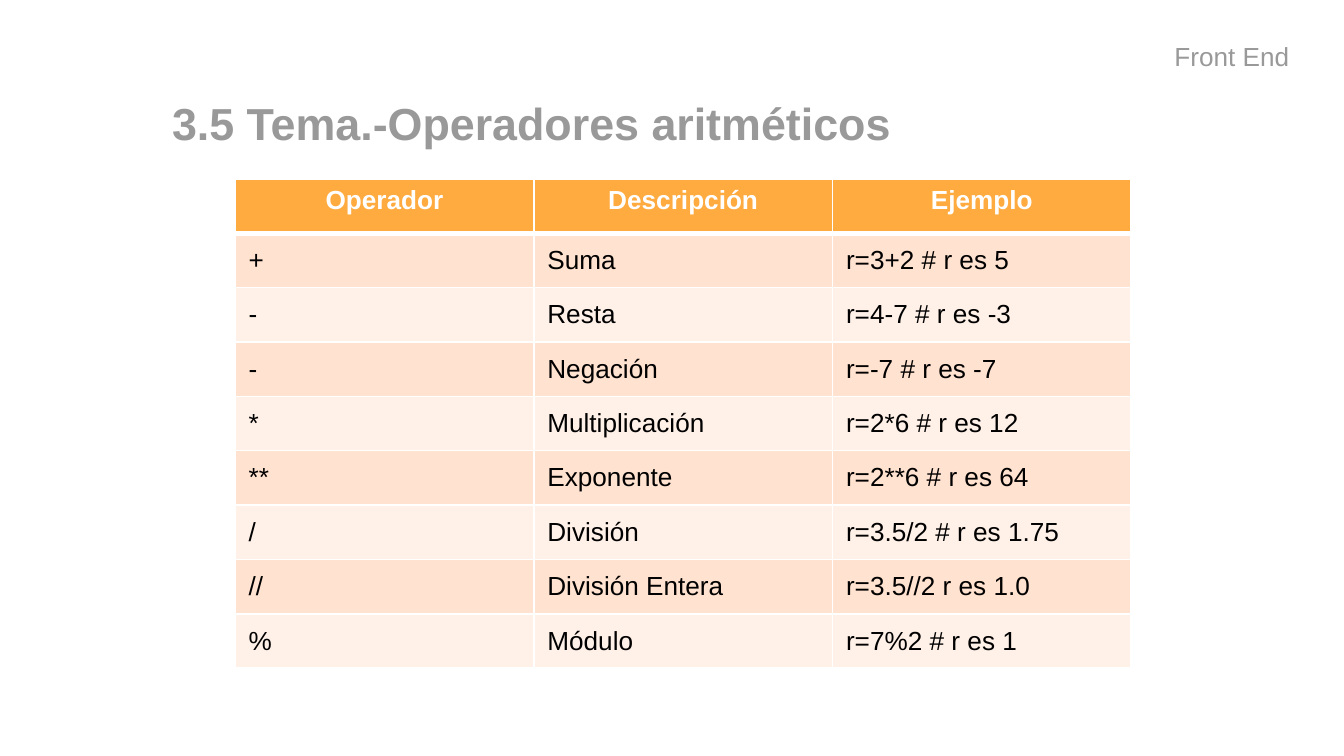
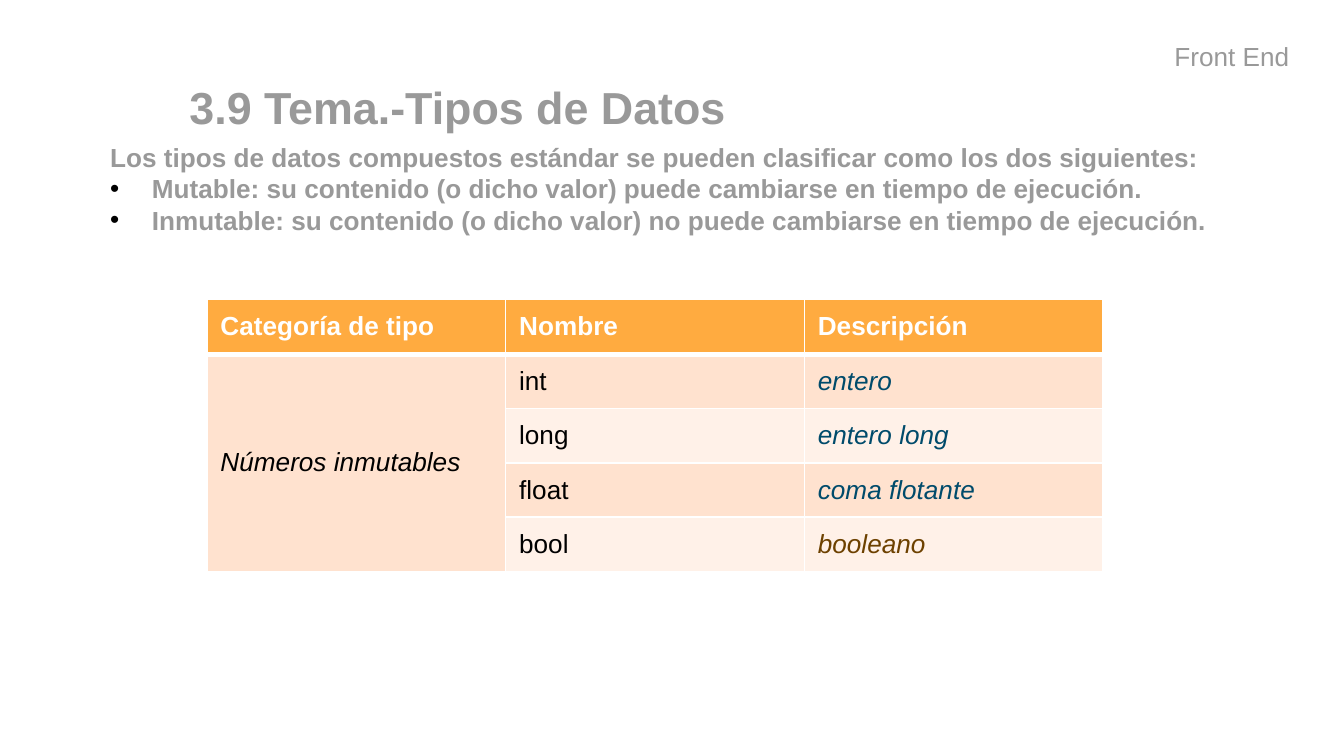
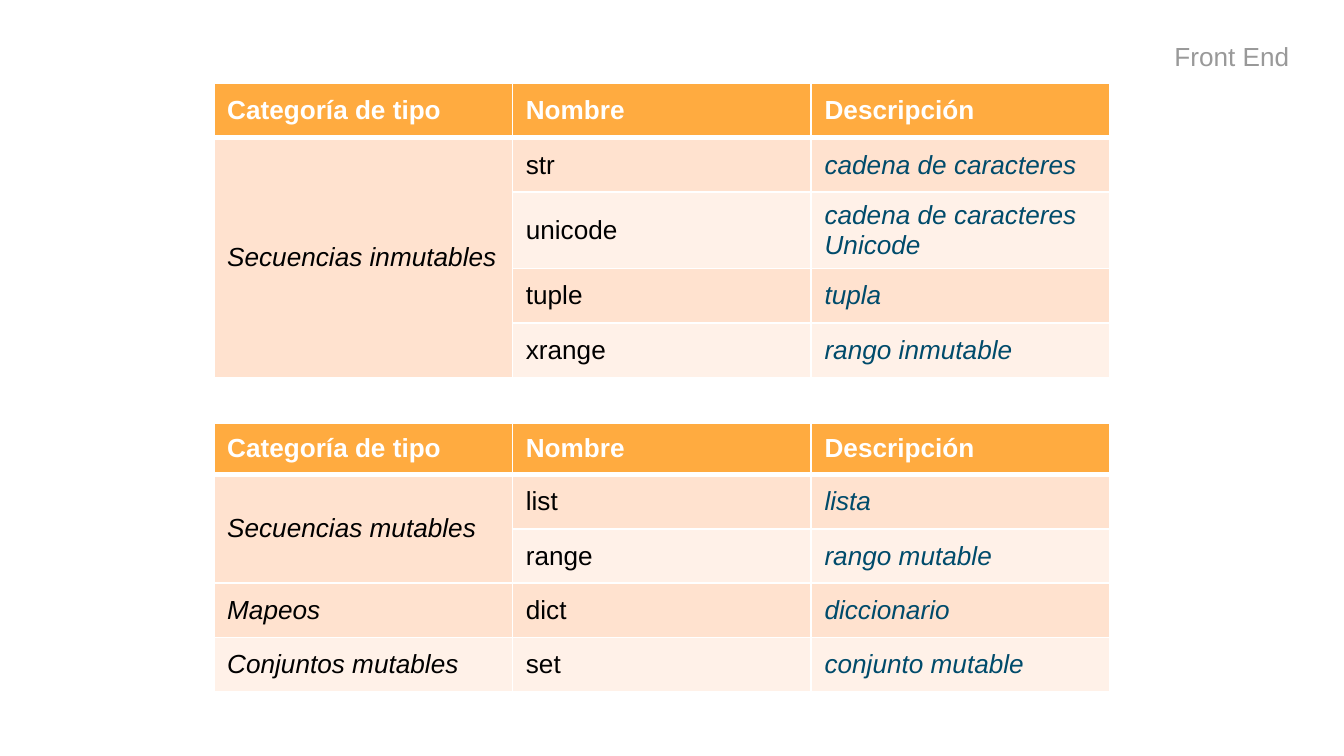
from dataclasses import dataclass, field
from itertools import takewhile

from lxml.etree import SubElement
from pptx import Presentation
from pptx.dml.color import RGBColor as Color
from pptx.enum.text import MSO_ANCHOR as Anchor
from pptx.enum.text import MSO_AUTO_SIZE as AutoSize
from pptx.enum.text import PP_ALIGN as Align
from pptx.oxml.ns import qn
from pptx.util import Emu, Pt

EMU_PER_PX = 2286
TITLE_AND_BODY, TITLE_ONLY, BLANK = 1, 5, 6


@dataclass(frozen=True)
class Theme:
    """Colours, font and type sizes shared by the slides."""

    font: str = "Arial"
    title_size: int = 24
    text_size: int = 14
    gray: Color = Color(0x99, 0x99, 0x99)
    white: Color = Color(0xFF, 0xFF, 0xFF)
    black: Color = Color(0x00, 0x00, 0x00)
    blue: Color = Color(0x00, 0x4B, 0x6B)
    brown: Color = Color(0x6D, 0x41, 0x00)
    orange: Color = Color(0xFF, 0xAB, 0x40)
    bands: tuple[Color, Color] = (Color(0xFF, 0xE2, 0xCF), Color(0xFF, 0xF1, 0xE8))


THEME = Theme()


@dataclass(frozen=True)
class TextStyle:
    """Look of one paragraph."""

    color: Color
    size: int = THEME.text_size
    bold: bool = False
    italic: bool = False


TITLE = TextStyle(THEME.gray, THEME.title_size, bold=True)
LABEL = TextStyle(THEME.gray)
BODY = TextStyle(THEME.gray, bold=True)
HEADER = TextStyle(THEME.white, bold=True)
PLAIN = TextStyle(THEME.black)
CATEGORY = TextStyle(THEME.black, italic=True)
DESCRIPTION = TextStyle(THEME.blue, italic=True)


@dataclass(frozen=True)
class Box:
    """Place and size in px."""

    left: int
    top: int
    width: int
    height: int


@dataclass(frozen=True)
class TableData:
    """A banded table; an empty first cell continues the category above."""

    left: int
    top: int
    rows: list[tuple[str, str, str]]
    headers: tuple[str, str, str] = ("Categoría de tipo", "Nombre", "Descripción")
    styles: tuple[TextStyle, TextStyle, TextStyle] = (CATEGORY, PLAIN, DESCRIPTION)
    header_align: Align = Align.LEFT
    header_anchor: Anchor = Anchor.MIDDLE
    header_height: int = 162
    column_width: int = 889
    row_height: int = 162
    tall_rows: dict[int, int] = field(default_factory=dict)
    special_styles: dict[str, TextStyle] = field(default_factory=dict)


OPERATORS = TableData(
    700, 532,
    [
        ("+", "Suma", "r=3+2 # r es 5"),
        ("-", "Resta", "r=4-7 # r es -3"),
        ("-", "Negación", "r=-7 # r es -7"),
        ("*", "Multiplicación", "r=2*6 # r es 12"),
        ("**", "Exponente", "r=2**6 # r es 64"),
        ("/", "División", "r=3.5/2 # r es 1.75"),
        ("//", "División Entera", "r=3.5//2 r es 1.0"),
        ("%", "Módulo", "r=7%2 # r es 1"),
    ],
    headers=("Operador", "Descripción", "Ejemplo"),
    styles=(PLAIN, PLAIN, PLAIN),
    header_align=Align.CENTER,
    header_anchor=Anchor.TOP,
)
NUMBERS = TableData(
    616, 892,
    [
        ("Números inmutables", "int", "entero"),
        ("", "long", "entero long"),
        ("", "float", "coma flotante"),
        ("", "bool", "booleano"),
    ],
    special_styles={"booleano": TextStyle(THEME.brown, italic=True)},
)
IMMUTABLE_SEQUENCES = TableData(
    636, 248,
    [
        ("Secuencias inmutables", "str", "cadena de caracteres"),
        ("", "unicode", "cadena de caracteres Unicode"),
        ("", "tuple", "tupla"),
        ("", "xrange", "rango inmutable"),
    ],
    tall_rows={2: 228},
)
MUTABLE_TYPES = TableData(
    636, 1260,
    [
        ("Secuencias mutables", "list", "lista"),
        ("", "range", "rango mutable"),
        ("Mapeos", "dict", "diccionario"),
        ("Conjuntos mutables", "set", "conjunto mutable"),
    ],
    header_height=152,
)
INTRODUCTION = "Los tipos de datos compuestos estándar se pueden clasificar como los dos siguientes:"
KINDS = [
    "Mutable: su contenido (o dicho valor) puede cambiarse en tiempo de ejecución.",
    "Inmutable: su contenido (o dicho valor) no puede cambiarse en tiempo de ejecución.",
]


def px(length: int) -> Emu:
    """Turn px into EMU."""
    return Emu(length * EMU_PER_PX)


def place(shape, box: Box) -> None:
    """Move and size a shape."""
    shape.left, shape.top = px(box.left), px(box.top)
    shape.width, shape.height = px(box.width), px(box.height)


def set_insets(text_frame, inset: int) -> None:
    """Give a text frame the same inset on all sides."""
    text_frame.margin_left = text_frame.margin_right = px(inset)
    text_frame.margin_top = text_frame.margin_bottom = px(inset)


def set_indent(paragraph, margin: int, first_line: int = 0) -> None:
    """Set the left margin and first-line indent of a paragraph."""
    properties = paragraph._p.get_or_add_pPr()
    properties.set("marL", str(px(margin)))
    properties.set("indent", str(px(first_line)))


def set_bullet(paragraph, character: str = "") -> None:
    """Give a paragraph a black bullet, or none."""
    properties = paragraph._p.get_or_add_pPr()
    if not character:
        SubElement(properties, qn("a:buNone"))
        return
    color = SubElement(properties, qn("a:buClr"))
    SubElement(color, qn("a:srgbClr"), val=str(THEME.black))
    SubElement(properties, qn("a:buFont"), typeface=THEME.font)
    SubElement(properties, qn("a:buChar"), char=character)


def write(paragraph, text: str, style: TextStyle, align: Align = Align.LEFT) -> None:
    """Write and format one paragraph."""
    paragraph.text = text
    paragraph.alignment = align
    font = paragraph.font
    font.name, font.size = THEME.font, Pt(style.size)
    font.bold, font.italic = style.bold, style.italic
    font.color.rgb = style.color


def add_master_label(presentation, slide) -> None:
    """Draw the course label and hand it to the slide master."""
    label = slide.shapes.add_textbox(px(3456), px(80), px(424), px(200))
    text_frame = label.text_frame
    text_frame.word_wrap = False
    set_insets(text_frame, 40)
    write(text_frame.paragraphs[0], "Front End", LABEL)
    label.element.nvSpPr.cNvPr.set("id", "100")
    presentation.slide_master.shapes.element.append(label.element)


def set_title(slide, text: str, box: Box) -> None:
    """Fill the title placeholder."""
    title = slide.shapes.title
    place(title, box)
    text_frame = title.text_frame
    text_frame.auto_size = AutoSize.NONE
    text_frame.vertical_anchor = Anchor.MIDDLE
    set_insets(text_frame, 40)
    paragraph = text_frame.paragraphs[0]
    set_indent(paragraph, 60)
    write(paragraph, text, TITLE)


def set_body(slide, introduction: str, items: list[str], box: Box) -> None:
    """Fill the body placeholder with an introduction and a bulleted list."""
    body = slide.placeholders[1]
    place(body, box)
    text_frame = body.text_frame
    text_frame.auto_size = AutoSize.SHAPE_TO_FIT_TEXT
    for index, text in enumerate([introduction, *items]):
        paragraph = text_frame.add_paragraph() if index else text_frame.paragraphs[0]
        set_indent(paragraph, 124 if index else 0, -124 if index else 0)
        set_bullet(paragraph, "•" if index else "")
        paragraph.space_before = Pt(0)
        write(paragraph, text, BODY)


def set_header_borders(cell) -> None:
    """Draw white borders around a header cell, the lower one thicker."""
    properties = cell._tc.get_or_add_tcPr()
    for side, width in (("L", 1), ("R", 1), ("T", 1), ("B", 3)):
        line = SubElement(properties, qn(f"a:ln{side}"), w=str(Pt(width)))
        fill = SubElement(line, qn("a:solidFill"))
        SubElement(fill, qn("a:srgbClr"), val=str(THEME.white))


def fill_cell(cell, text: str, style: TextStyle, fill: Color, anchor: Anchor, align: Align) -> None:
    """Colour a cell and write its text."""
    cell.fill.solid()
    cell.fill.fore_color.rgb = fill
    cell.vertical_anchor = anchor
    write(cell.text_frame.paragraphs[0], text, style, align)


def add_data_table(slide, data: TableData) -> None:
    """Draw a table with a header, banded rows and merged categories."""
    heights = [data.header_height] + [
        data.tall_rows.get(index, data.row_height) for index in range(1, len(data.rows) + 1)
    ]
    column_count = len(data.headers)
    table = slide.shapes.add_table(
        len(heights), column_count, px(data.left), px(data.top),
        px(data.column_width * column_count), px(sum(heights)),
    ).table
    for column in table.columns:
        column.width = px(data.column_width)
    for row, height in zip(table.rows, heights):
        row.height = px(height)
    for column_index, text in enumerate(data.headers):
        cell = table.cell(0, column_index)
        set_header_borders(cell)
        fill_cell(cell, text, HEADER, THEME.orange, data.header_anchor, data.header_align)
    for row_index, texts in enumerate(data.rows, start=1):
        band = THEME.bands[(row_index - 1) % 2]
        for column_index, (text, style) in enumerate(zip(texts, data.styles)):
            style = data.special_styles.get(text, style)
            cell = table.cell(row_index, column_index)
            fill_cell(cell, text, style, band, Anchor.MIDDLE, Align.LEFT)
        continued = len(list(takewhile(lambda row: not row[0], data.rows[row_index:])))
        if texts[0] and continued:
            table.cell(row_index, 0).merge(table.cell(row_index + continued, 0))


def main() -> None:
    """Build the three slides."""
    presentation = Presentation()
    presentation.slide_width, presentation.slide_height = px(4000), px(2250)
    layouts = presentation.slide_layouts

    operators = presentation.slides.add_slide(layouts[TITLE_ONLY])
    add_master_label(presentation, operators)
    set_title(operators, "3.5 Tema.-Operadores aritméticos", Box(412, 284, 3324, 164))
    add_data_table(operators, OPERATORS)

    data_types = presentation.slides.add_slide(layouts[TITLE_AND_BODY])
    set_title(data_types, "3.9 Tema.-Tipos de Datos", Box(464, 236, 3324, 164))
    set_body(data_types, INTRODUCTION, KINDS, Box(288, 400, 3480, 324))
    add_data_table(data_types, NUMBERS)

    collections = presentation.slides.add_slide(layouts[BLANK])
    for data in (IMMUTABLE_SEQUENCES, MUTABLE_TYPES):
        add_data_table(collections, data)

    presentation.save("out.pptx")


if __name__ == "__main__":
    main()
